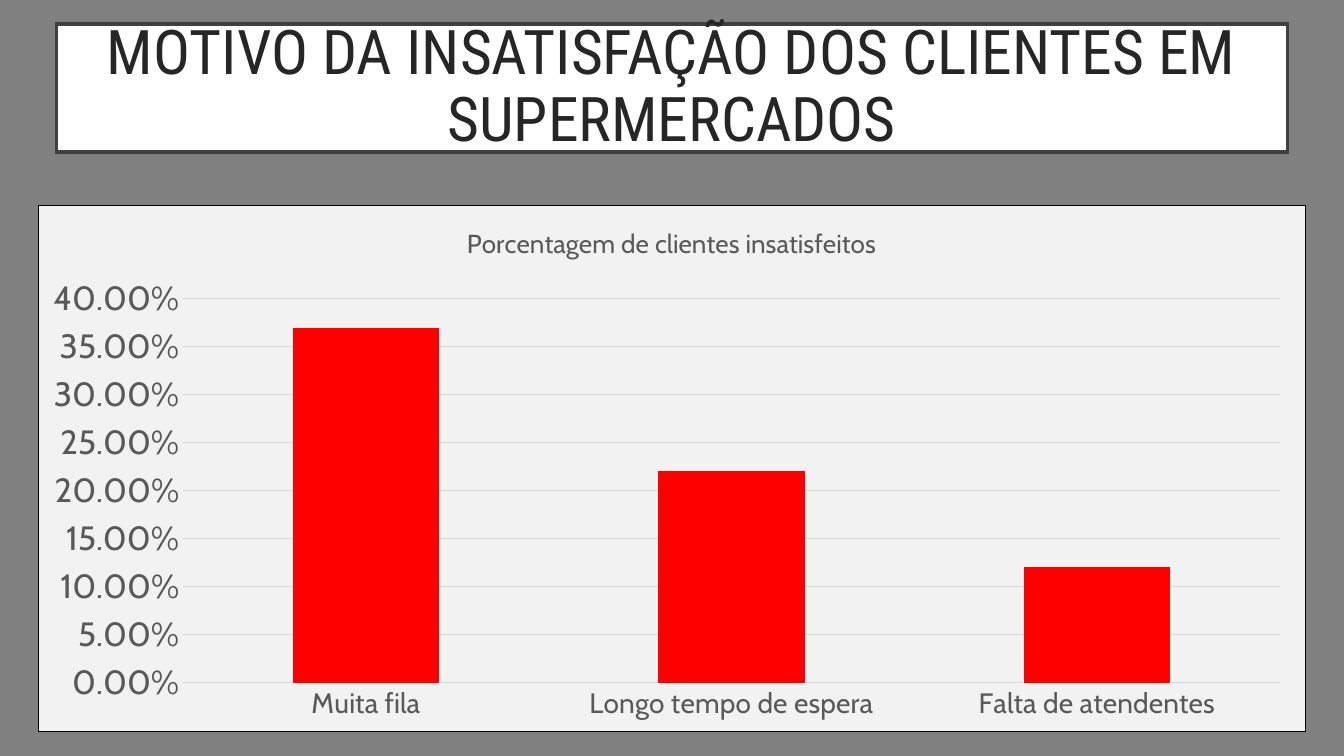
from lxml import etree
from pptx import Presentation
from pptx.chart.data import CategoryChartData
from pptx.dml.color import RGBColor
from pptx.enum.chart import XL_CHART_TYPE, XL_TICK_MARK
from pptx.enum.shapes import MSO_SHAPE
from pptx.enum.text import MSO_ANCHOR, PP_ALIGN
from pptx.util import Inches, Pt

HEAD = "MOTIVO DA INSATISFAÇÃO DOS CLIENTES EM SUPERMERCADOS"
NAME = "Porcentagem de clientes insatisfeitos"
DATA = {
    "Muita fila": 0.37,
    "Longo tempo de espera": 0.22,
    "Falta de atendentes": 0.12,
}
WIDE, HIGH = 13.33, 7.5
HEAD_BOX = (0.56, 0.24, 12.21, 1.27)
CHART_BOX = (0.38, 2.03, 12.57, 5.23)
PLOT = {"x": 0.114, "y": 0.178, "w": 0.866, "h": 0.73}  # shares of the chart

GREY = RGBColor(0x80, 0x80, 0x80)
WHITE = RGBColor(0xFF, 0xFF, 0xFF)
EDGE = RGBColor(0x40, 0x40, 0x40)
DARK = RGBColor(0x26, 0x26, 0x26)
TEXT = RGBColor(0x59, 0x59, 0x59)
GRID = RGBColor(0xD9, 0xD9, 0xD9)
RED = RGBColor(0xFF, 0x00, 0x00)
BLACK = RGBColor(0x00, 0x00, 0x00)
COLUMNS = XL_CHART_TYPE.COLUMN_STACKED
NO_TICK = XL_TICK_MARK.NONE
RECT = MSO_SHAPE.RECTANGLE
MIDDLE = MSO_ANCHOR.MIDDLE
CENTER = PP_ALIGN.CENTER
C = "http://schemas.openxmlformats.org/drawingml/2006/chart"
A = "http://schemas.openxmlformats.org/drawingml/2006/main"


def style(font, name, size, color):
    for key, value in {"name": name, "size": Pt(size), "bold": False}.items():
        setattr(font, key, value)
    font.color.rgb = color


def paint(item, color):
    item.fill.solid()
    item.fill.fore_color.rgb = color


def add_head(slide):
    box = slide.shapes.add_shape(RECT, *map(Inches, HEAD_BOX))
    box.shadow.inherit = False
    paint(box, WHITE)
    box.line.color.rgb = EDGE
    box.line.width = Pt(2.5)
    edge = box.element.spPr.find(f"{{{A}}}ln")
    etree.SubElement(edge, f"{{{A}}}miter", lim="800000")
    frame = box.text_frame
    frame.word_wrap = True
    frame.vertical_anchor = MIDDLE
    for side in ("left", "top", "right", "bottom"):
        setattr(frame, f"margin_{side}", Inches(0.2))
    para = frame.paragraphs[0]
    para.text = HEAD
    para.alignment = CENTER
    para.line_spacing = 0.9
    style(para.font, "Roboto Condensed", 44, DARK)


def frame_chart(chart):
    """Fill and border the chart area, place the plot and kern the text."""
    body = chart.element.find(f"{{{C}}}chart")
    body.addnext(etree.fromstring(
        f'<c:spPr xmlns:c="{C}" xmlns:a="{A}">'
        '<a:solidFill><a:srgbClr val="F2F2F2"/></a:solidFill>'
        '<a:ln w="9525"><a:solidFill><a:srgbClr val="000000"/></a:solidFill></a:ln>'
        '</c:spPr>'))
    area = body.find(f"{{{C}}}plotArea")
    for old in area.findall(f"{{{C}}}layout"):
        area.remove(old)
    marks = '<c:layoutTarget val="inner"/>'
    marks += "".join(f'<c:{key}Mode val="edge"/>' for key in "xy")
    marks += "".join(f'<c:{key} val="{val}"/>' for key, val in PLOT.items())
    area.insert(0, etree.fromstring(
        f'<c:layout xmlns:c="{C}"><c:manualLayout>{marks}</c:manualLayout></c:layout>'))
    for font in area.iter(f"{{{A}}}defRPr"):
        font.set("kern", "1200")


def add_bars(slide):
    data = CategoryChartData(number_format="0.00%")
    data.categories = list(DATA)
    data.add_series(NAME, list(DATA.values()))
    chart = slide.shapes.add_chart(COLUMNS, *map(Inches, CHART_BOX), data).chart
    style(chart.font, "Cabin", 10, BLACK)
    chart.has_legend = False
    chart.has_title = True
    title = chart.chart_title.text_frame
    title.text = NAME
    style(title.paragraphs[0].runs[0].font, "Cabin", 18.6, TEXT)

    for axis, size in ((chart.category_axis, 20), (chart.value_axis, 24)):
        axis.major_tick_mark = axis.minor_tick_mark = NO_TICK
        axis.format.line.fill.background()
        style(axis.tick_labels.font, "Cabin", size, TEXT)
    axis = chart.value_axis
    axis.minimum_scale, axis.maximum_scale, axis.major_unit = 0, 0.4, 0.05
    axis.tick_labels.number_format = "0.00%"
    axis.tick_labels.number_format_is_linked = False
    line = axis.major_gridlines.format.line
    line.color.rgb = GRID
    line.width = Pt(0.75)

    plot = chart.plots[0]
    plot.vary_by_categories = False
    plot.gap_width, plot.overlap = 150, 100
    paint(plot.series[0].format, RED)
    frame_chart(chart)


def main():
    deck = Presentation()
    deck.slide_width, deck.slide_height = Inches(WIDE), Inches(HIGH)
    slide = deck.slides.add_slide(deck.slide_layouts[6])
    paint(slide.background, GREY)
    add_head(slide)
    add_bars(slide)
    deck.save("out.pptx")


if __name__ == "__main__":
    main()
